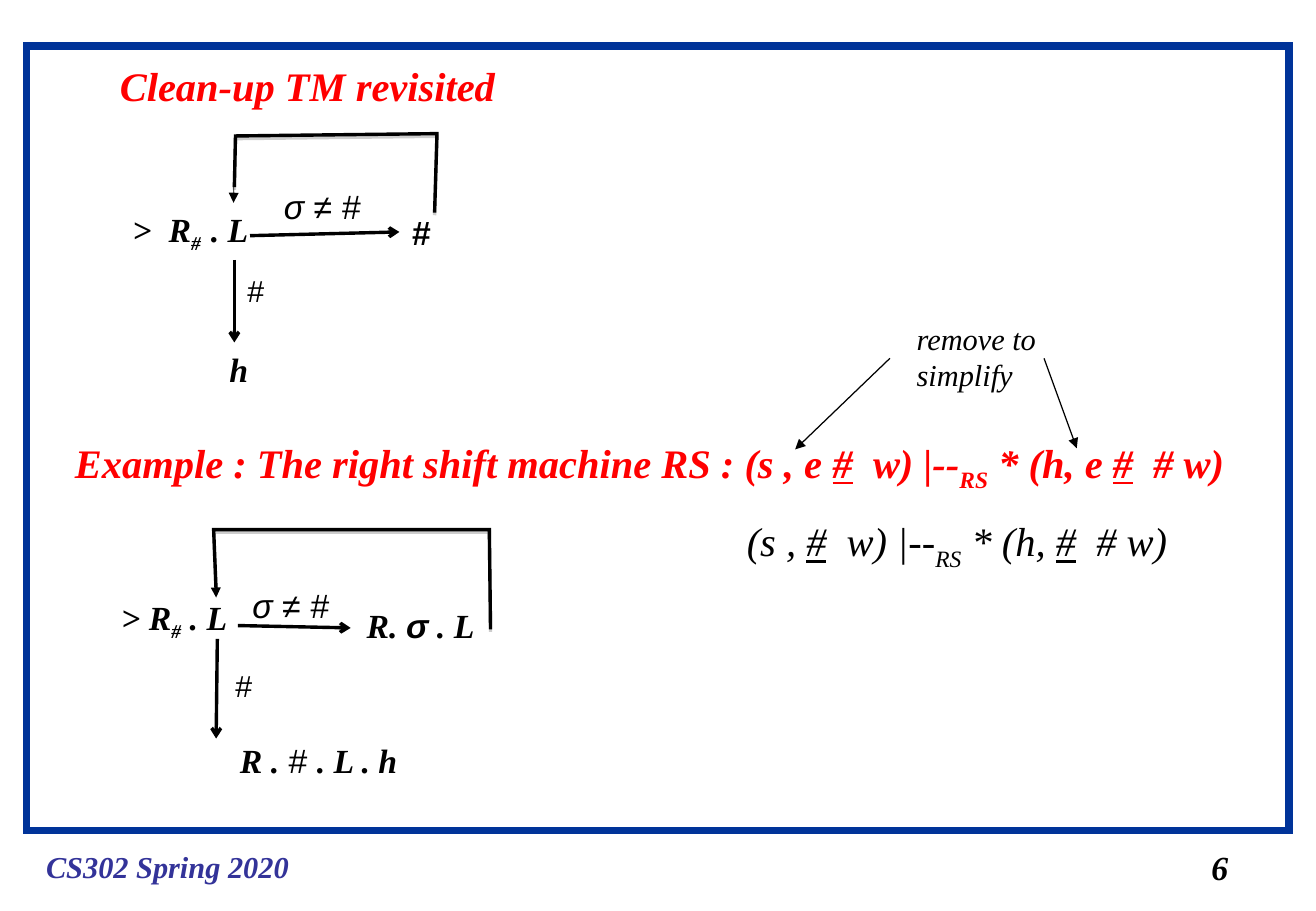
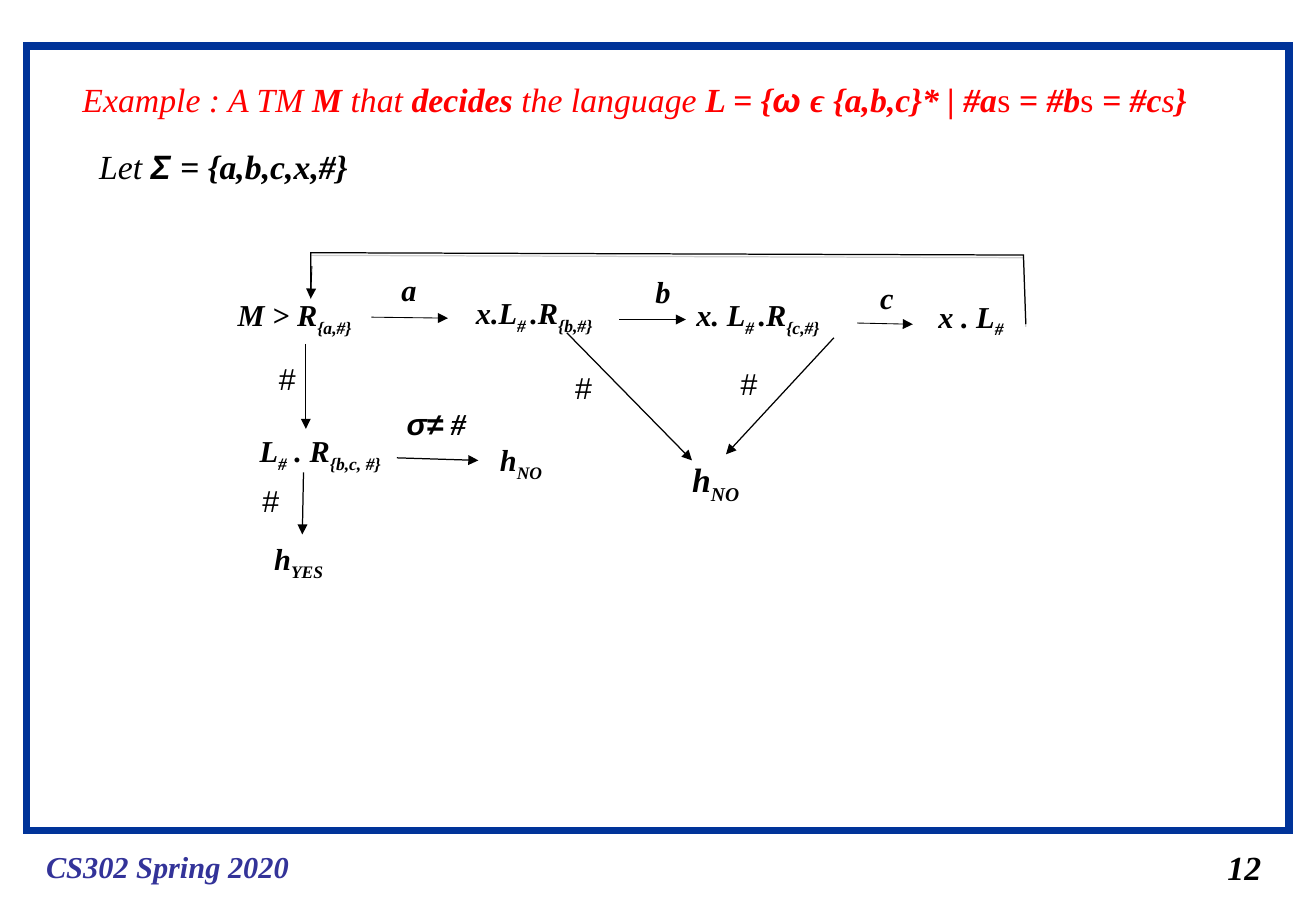
from pptx import Presentation
from pptx.dml.color import RGBColor as Rgb
from pptx.enum.shapes import MSO_CONNECTOR as Connector, MSO_SHAPE as Preset
from pptx.enum.text import MSO_AUTO_SIZE as AutoSize
from pptx.oxml import parse_xml
from pptx.oxml.ns import nsdecls
from pptx.util import Pt

COLORS = {"frame": "003399", "footer": "333399", "title": "FF0000", "ink": "000000", "shade": "808080"}
SERIF, SANS = "Times New Roman", "Arial"
PLAIN = {"bold": False, "italic": False}
HASH = ("#", {"underline": True})
SIGMA = {"font": SANS, "size": 20, "bold": False}


def write(para, text, size=18, color="ink", font=SERIF, bold=True, italic=True, underline=False, sub=False):
    span = para.add_run()
    span.text = text
    face = span.font
    face.name, face.size = font, Pt(size)
    face.bold, face.italic, face.underline = bold, italic, underline
    face.color.rgb = Rgb.from_string(COLORS[color])
    if sub:
        span._r.get_or_add_rPr().set("baseline", "-25000")


def low(text):
    return text, {"sub": True}


class Deck:
    def __init__(self):
        self.deck = Presentation()
        self.deck.slide_width, self.deck.slide_height = Pt(780.48), Pt(540)
        self.page = None

    def new_page(self, number, left):
        self.page = self.deck.slides.add_slide(self.deck.slide_layouts[6])
        frame = self.page.shapes.add_shape(Preset.RECTANGLE, Pt(15.8), Pt(27.4), Pt(748.8), Pt(465))
        frame.shadow.inherit = False
        frame.fill.background()
        self.stroke(frame, 4.5, "frame")
        self.box(20.2, 499, 170, "CS302 Spring 2020", color="footer")
        self.box(left, 498.2, 40, number, size=20)

    def stroke(self, shape, width, color="ink"):
        shape.line.width = Pt(width)
        shape.line.color.rgb = Rgb.from_string(COLORS[color])
        shape.line._get_or_add_ln().append(parse_xml(f'<a:miter {nsdecls("a")} lim="800000"/>'))

    def box(self, left, top, width, *lines, size=18, **look):
        height = len(lines) * size * 1.2 + 7.2
        box = self.page.shapes.add_textbox(Pt(left), Pt(top), Pt(width), Pt(height))
        frame = box.text_frame
        frame.word_wrap = False
        frame.auto_size = AutoSize.SHAPE_TO_FIT_TEXT
        for index, line in enumerate(lines):
            para = frame.add_paragraph() if index else frame.paragraphs[0]
            for part in [line] if isinstance(line, str) else line:
                text, change = (part, {}) if isinstance(part, str) else part
                write(para, text, **{"size": size, **look, **change})

    def hashes(self, *places):
        for left, top in places:
            self.box(left, top, 28, "#", font=SANS, **PLAIN)

    def arrow(self, x1, y1, x2, y2, width=0.75):
        arrow = self.page.shapes.add_connector(Connector.STRAIGHT, Pt(x1), Pt(y1), Pt(x2), Pt(y2))
        self.stroke(arrow, width)
        head = "arrow" if width >= 2 else "triangle"
        arrow.line._get_or_add_ln().append(parse_xml(f'<a:tailEnd {nsdecls("a")} type="{head}"/>'))
        arrow._element.spPr.append(parse_xml(f'<a:effectLst {nsdecls("a")}/>'))

    def loop(self, *points, width=2):
        (x, y), *corners = [(Pt(x), Pt(y)) for x, y in points]
        builder = self.page.shapes.build_freeform(x, y)
        builder.add_line_segments(corners, close=False)
        loop = builder.convert_to_shape()
        loop.fill.background()
        self.stroke(loop, width)
        loop._element.spPr.append(parse_xml(
            f'<a:effectLst {nsdecls("a")}><a:outerShdw blurRad="0" dist="{Pt(1.6)}" dir="5400000" '
            f'rotWithShape="0"><a:srgbClr val="{COLORS["shade"]}"><a:alpha val="38000"/></a:srgbClr>'
            f'</a:outerShdw></a:effectLst>'))


def shift_page(show):
    show.new_page("6", 711.4)
    show.box(64, 32.6, 245, "Clean-up TM revisited", size=24, color="title")
    show.box(37.4, 256.3, 706,
             ["Example : The right shift machine RS : (s , e ", HASH, "  w) |--", low("RS"),
              " * (h, e ", HASH, "  # w)"], size=24, color="title")
    show.box(435.8, 302.6, 275,
             ["(s , ", HASH, "  w) |--", low("RS"), " * (h, ", HASH, "  # w)"], size=24, bold=False)

    show.box(71.5, 120.2, 95, [">  R", low("#  "), ". L"], size=20)
    show.box(161.3, 106.8, 80.6, "σ ≠ #", **SIGMA)
    show.box(237, 122, 35, "#", size=20, font=SANS)
    show.box(128.9, 203.2, 32, "h", size=20)
    show.arrow(148.3, 139.7, 236.9, 137.5, 2)
    show.arrow(139, 154, 139, 203, 2)
    show.loop((257.8, 126), (259.2, 79.2), (139.7, 80.6), (139, 110.9))
    show.arrow(139, 97.2, 138.5, 120.2, 0.5)

    show.box(64.8, 350.2, 95, ["> R", low("#"), " . L"], size=20)
    show.box(142.6, 342.8, 75.6, "σ ≠ #", **SIGMA)
    show.box(210.4, 355.2, 95, ["R. ", ("σ", {"font": SANS}), " . L"], size=20)
    show.box(135.2, 435, 125, ["R .", (" # ", {"font": SANS, **PLAIN}), ". L . h"], size=20)
    show.arrow(141.1, 370.8, 208, 372.2, 2)
    show.arrow(128.9, 378.7, 128.2, 437.8, 2)
    show.loop((290.9, 373), (290.2, 313.9), (126.7, 313.9), (128.2, 350.6))
    show.arrow(127.2, 324.7, 128.2, 354.2, 0.5)
    show.hashes((139.7, 158), (132.5, 392))

    show.box(536.6, 186, 100, "remove to", "simplify", bold=False)
    show.arrow(527.8, 212.4, 471.6, 266.4)
    show.arrow(619.2, 212.4, 638.6, 265.7)


def decider_page(show):
    show.new_page("12", 720.9)
    thin = {"bold": False}
    show.box(41.8, 43.2, 685,
             [("Example : A TM ", thin), "M", (" that ", thin), "decides", (" the language ", thin),
              "L = {", ("ω ", {"font": SANS}), "ϵ {a,b,c}* | #a", ("s", PLAIN), " = #b", ("s ", PLAIN),
              "= #c", ("s", thin), "}"], size=20, color="title")
    show.box(51.8, 83, 180, [("Let ", thin), ("Σ ", {"font": SANS}), "= {a,b,c,x,#}"], size=20)

    show.box(133.9, 172.2, 100, ["M > R", low("{a,#}")])
    show.box(275.2, 170.8, 100, ["x.L", low("# "), ".R", low("{b,#}")])
    show.box(406, 172.2, 105, ["x. L", low("# "), ".R", low("{c,#}")])
    show.box(549.4, 173, 108.7, ["x . L", low("#")])
    for left, top, letter in [(231, 157.2, "a"), (381.6, 158.4, "b"), (515, 162, "c")]:
        show.box(left, top, 30, letter)
    show.box(146.9, 252.9, 100, ["L", low("#"), " . R", low("{b,c, #}")])
    show.box(234, 236.9, 65, [("σ≠", {"font": SANS}), " #"])
    for left, top, size, answer in [(403.4, 268.6, 20, "NO"), (289.4, 258, 18, "NO"), (155.5, 316.8, 18, "YES")]:
        show.box(left, top, 60, ["h", low(answer)], size=size)
    show.hashes((158.4, 210.2), (334, 215), (432.2, 213), (148.6, 282.5))

    show.loop((608.4, 192.2), (607, 151.2), (184.3, 149.8), (184.3, 175.7), width=0.75)
    for ends in [(220.3, 188, 265.7, 188.6), (367.2, 189.4, 406.8, 189.4), (508.3, 191.5, 541.4, 192.2),
                 (185, 157.7, 184.3, 177), (181.4, 203.8, 181.4, 254.2)]:
        show.arrow(*ends, 0.5)
    for ends in [(235.4, 271.4, 283.7, 272.9), (336.2, 197.3, 410.4, 272.9),
                 (494.6, 200.2, 430.6, 269.3), (180, 280, 179.3, 316.8)]:
        show.arrow(*ends)


def main():
    show = Deck()
    shift_page(show)
    decider_page(show)
    show.deck.save("out.pptx")


if __name__ == "__main__":
    main()
